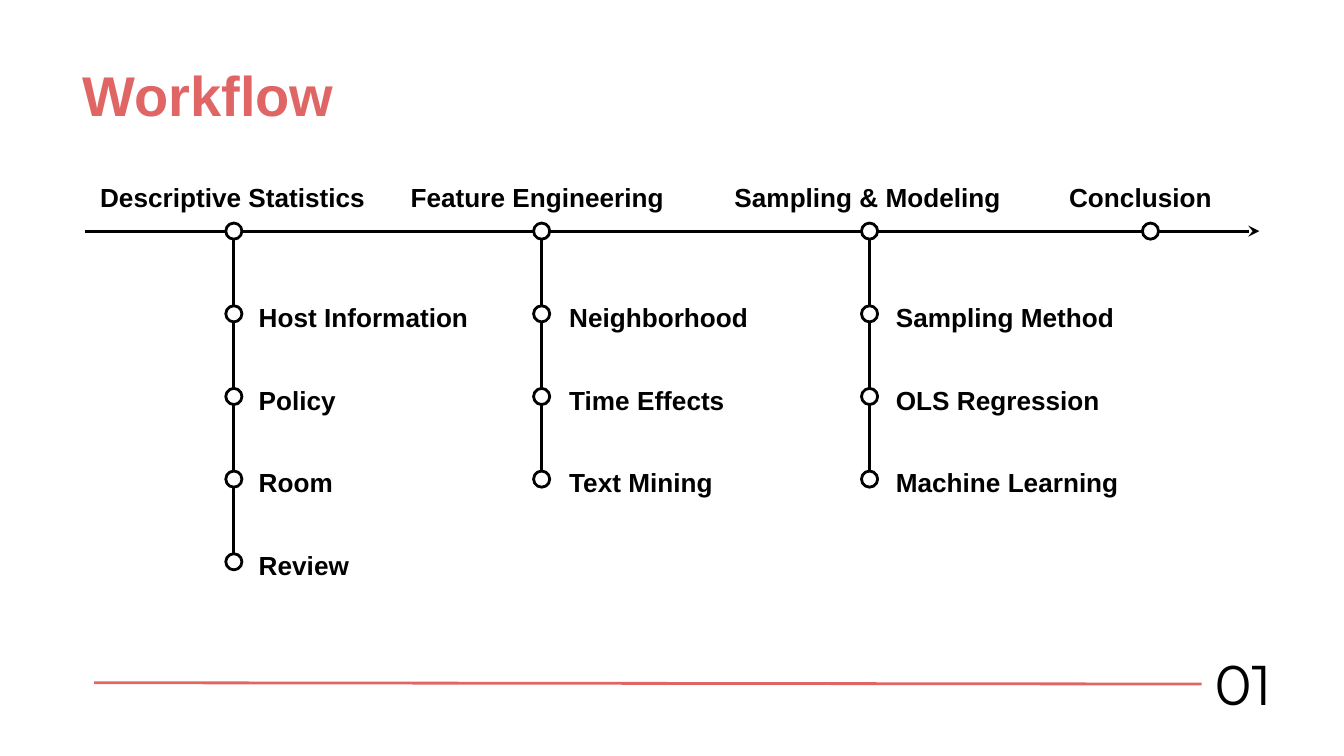
from lxml import etree
from pptx import Presentation
from pptx.dml.color import RGBColor
from pptx.enum import shapes, text
from pptx.oxml.ns import qn
from pptx.util import Inches, Pt

CORAL = RGBColor(0xE0, 0x66, 0x66)
BLACK = RGBColor(0x00, 0x00, 0x00)
WHITE = RGBColor(0xFF, 0xFF, 0xFF)

SLIDE_WIDTH = 10
SLIDE_HEIGHT = SLIDE_WIDTH * 9 / 16
NODE_SIZE = 0.12
AXIS_Y = 1.72
LAST_ROW_Y = 4.18
ROW_GAP = (LAST_ROW_Y - AXIS_Y) / 4
LABEL_HEIGHT = 0.27
LABEL_RISE = 0.13  # from a node's centre up to the top of its label
LABEL_MARGINS = (0.15 / 2, 0.15 / 4)
PAGE_MARGINS = (0.1, 0.1)

# heading, heading left, heading width, node centre x, steps left, steps
STAGES = [
    ("Descriptive Statistics", 0.67, 2.17, 1.74, 1.85,
     ["Host Information", "Policy", "Room", "Review"]),
    ("Feature Engineering", 2.98, 2.09, 4.03, 4.16,
     ["Neighborhood", "Time Effects", "Text Mining"]),
    ("Sampling & Modeling", 5.39, 2.17, 6.47, 6.59,
     ["Sampling Method", "OLS Regression", "Machine Learning"]),
    ("Conclusion", 7.88, 1.36, 8.56, None, []),
]


def write_text(box, words, size, color=BLACK, font="Arial", bold=True,
               margins=LABEL_MARGINS):
    frame = box.text_frame
    frame.word_wrap = True
    frame.auto_size = text.MSO_AUTO_SIZE.NONE
    frame.vertical_anchor = text.MSO_ANCHOR.TOP
    frame.margin_left = frame.margin_right = Inches(margins[0])
    frame.margin_top = frame.margin_bottom = Inches(margins[1])
    paragraph = frame.paragraphs[0]
    paragraph.alignment = text.PP_ALIGN.LEFT
    run = paragraph.add_run()
    run.text = words
    run.font.name = font
    run.font.size = Pt(size)
    run.font.bold = bold
    run.font.color.rgb = color


def set_title(slide, words):
    title = slide.shapes.title
    title.left, title.top = Inches(0.54), Inches(0.41)
    title.width, title.height = Inches(3.75), Inches(0.48)
    write_text(title, words, 30, CORAL)


def add_label(slide, words, left, top, width):
    label = slide.shapes.add_textbox(
        Inches(left), Inches(top), Inches(width), Inches(LABEL_HEIGHT))
    write_text(label, words, 14)


def add_line(slide, start, end, color=BLACK, arrow=False):
    line = slide.shapes.add_connector(
        shapes.MSO_CONNECTOR.STRAIGHT, *map(Inches, start + end))
    line.line.color.rgb = color
    line.line.width = Pt(1.5)
    if arrow:
        etree.SubElement(line.line._get_or_add_ln(), qn("a:tailEnd"),
                         type="stealth")
    etree.SubElement(line._element.spPr, qn("a:effectLst"))


def add_node(slide, x, y):
    """Draw a small ring centred on (x, y)."""
    node = slide.shapes.add_shape(
        shapes.MSO_SHAPE.OVAL, Inches(x - NODE_SIZE / 2),
        Inches(y - NODE_SIZE / 2), Inches(NODE_SIZE), Inches(NODE_SIZE))
    node.shadow.inherit = False
    node.fill.solid()
    node.fill.fore_color.rgb = WHITE
    node.line.color.rgb = BLACK
    node.line.width = Pt(1.5)


def add_stage(slide, heading, heading_left, heading_width, x, steps_left, steps):
    """Draw a heading with its axis node and the steps hanging below it."""
    add_label(slide, heading, heading_left, 1.31, heading_width)
    if steps:
        last_y = AXIS_Y + len(steps) * ROW_GAP
        add_line(slide, (x, AXIS_Y + NODE_SIZE / 2), (x, last_y - NODE_SIZE / 2))
    add_node(slide, x, AXIS_Y)
    for row, step in enumerate(steps, start=1):
        y = AXIS_Y + row * ROW_GAP
        add_node(slide, x, y)
        add_label(slide, step, steps_left, y - LABEL_RISE, 2.29)


def add_footer(slide, number):
    add_line(slide, (0.7, 5.08), (8.94, 5.09), CORAL)
    page = slide.shapes.add_textbox(
        Inches(8.94), Inches(4.73), Inches(0.8), Inches(0.71))
    write_text(page, number, 30, font="Montserrat", bold=False,
               margins=PAGE_MARGINS)


def main():
    deck = Presentation()
    deck.slide_width = Inches(SLIDE_WIDTH)
    deck.slide_height = Inches(SLIDE_HEIGHT)
    slide = deck.slides.add_slide(deck.slide_layouts[5])
    set_title(slide, "Workflow")
    add_line(slide, (0.63, AXIS_Y), (9.37, AXIS_Y), arrow=True)
    for stage in STAGES:
        add_stage(slide, *stage)
    add_footer(slide, "01")
    deck.save("out.pptx")


if __name__ == "__main__":
    main()
